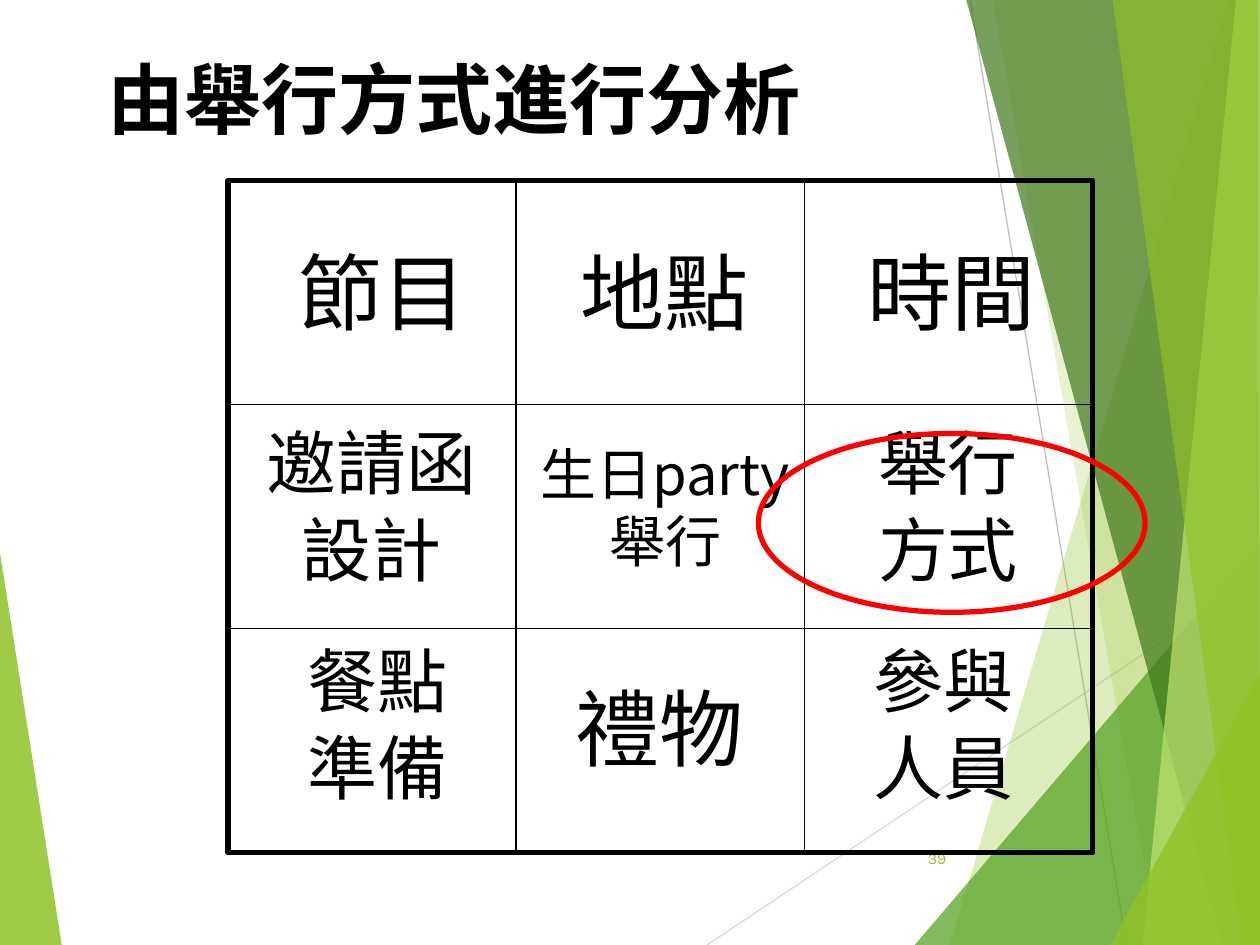
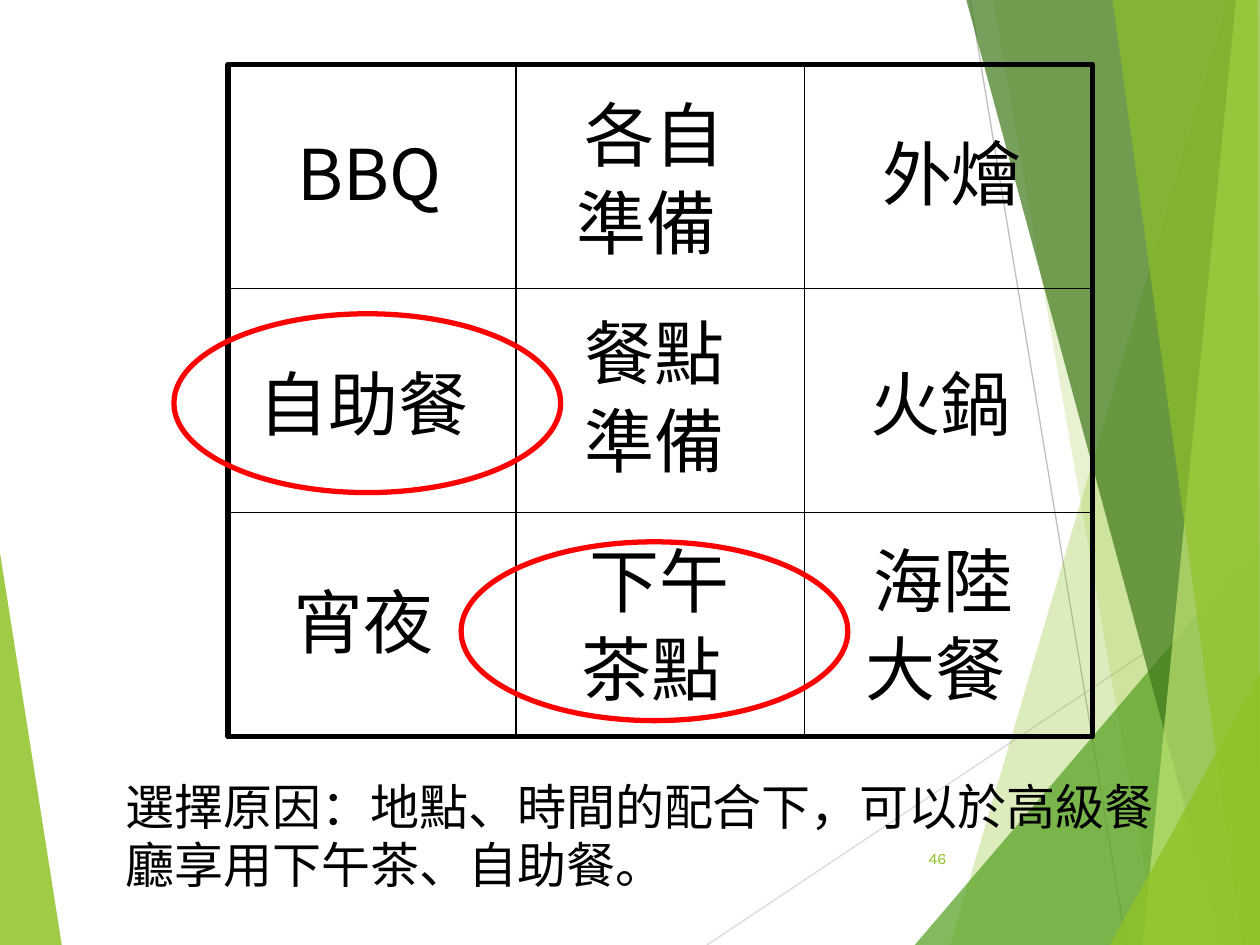
from dataclasses import dataclass

from lxml.etree import SubElement
from pptx import Presentation
from pptx.dml.color import RGBColor
from pptx.enum.shapes import MSO_CONNECTOR, MSO_SHAPE
from pptx.enum.text import MSO_ANCHOR, MSO_AUTO_SIZE as AutoSize, PP_ALIGN as Align
from pptx.oxml.ns import qn
from pptx.presentation import Presentation as Deck
from pptx.shapes.autoshape import Shape
from pptx.shapes.connector import Connector
from pptx.slide import Slide
from pptx.text.text import TextFrame
from pptx.util import Pt

# Shared colours, fonts and measures
BLACK = RGBColor(0x00, 0x00, 0x00)
RED = RGBColor(0xFF, 0x00, 0x00)
LIME = RGBColor(0x90, 0xC2, 0x26)
PALE_LIME = RGBColor(0xC0, 0xE4, 0x74)
GREEN = RGBColor(0x54, 0xA0, 0x21)
DARK_GREEN = RGBColor(0x3F, 0x78, 0x19)
LIGHT_GREY = RGBColor(0xD9, 0xD9, 0xD9)
GREY = RGBColor(0xBF, 0xBF, 0xBF)

CJK_FONT = "Noto Sans CJK SC"
TITLE_FONT = "Arial"
NUMBER_FONT = "Karla"

SLIDE_W, SLIDE_H = 720, 540
GRID_LEFT, GRID_W, GRID_H = 130.3, 493.9, 384.3
GRID_STEPS = 3
RING_W, RING_H = 221, 102.2
LINE_PITCH = 1.2


@dataclass(frozen=True)
class Facet:
    points: tuple[tuple[float, float], ...]
    color: RGBColor
    opacity: int


@dataclass(frozen=True)
class Rule:
    start: tuple[float, float]
    end: tuple[float, float]
    color: RGBColor


@dataclass(frozen=True)
class Idea:
    left: float
    top: float
    width: float
    lines: tuple[str, ...]
    size: int = 40


@dataclass(frozen=True)
class NineGrid:
    top: float
    ideas: tuple[Idea, ...]
    rings: tuple[tuple[float, float], ...]
    number: str


CORNER = (SLIDE_W, SLIDE_H)
TOP_CORNER = (SLIDE_W, 0)

LEFT_FACET = Facet(((0, 316), (35.3, 540), (0, 540)), LIME, 85)
RULES = (
    Rule((404, 540), (720, 329.3), LIGHT_GREY),
    Rule((554.4, 0), (643.7, 540), GREY),
)
RIGHT_FACETS = (
    Facet(((702, 0), (543, 540), CORNER, TOP_CORNER), LIME, 30),
    Facet(((567.4, 0), (661.7, 540), CORNER, TOP_CORNER), LIME, 20),
    Facet(((522.7, 540), (720, 309), CORNER), GREEN, 72),
    Facet(((552.2, 0), (698.4, 540), CORNER, TOP_CORNER), DARK_GREEN, 70),
    Facet(((706.3, 0), (653, 540), CORNER, TOP_CORNER), PALE_LIME, 70),
    Facet(((635.8, 0), (709.9, 540), CORNER, (718.6, 0)), LIME, 65),
    Facet(((634.3, 540), (720, 385), CORNER), LIME, 80),
)

PARTY_GRID = NineGrid(
    top=103,
    ideas=(
        Idea(473, 134, 142, ("時間",), 48),
        Idea(309, 134, 142, ("地點",), 48),
        Idea(133.2, 236, 158.4, ("邀請函", "設計")),
        Idea(150.5, 134, 136, ("節目",), 48),
        Idea(139, 360.7, 153.4, ("餐點", "準備")),
        Idea(303, 383, 147.6, ("禮物",), 48),
        Idea(462.2, 360.7, 153.4, ("參與", "人員")),
        Idea(462.2, 236, 159, ("舉行", "方式")),
        Idea(292.3, 247.7, 175.7, ("生日party舉行",), 32),
    ),
    rings=((433.4, 247.7),),
    number="39",
)
MEAL_GRID = NineGrid(
    top=36.7,
    ideas=(
        Idea(473, 71.3, 142, ("外燴",)),
        Idea(303, 49, 142, ("各自", "準備 ")),
        Idea(133.2, 202.3, 158.4, ("自助餐 ",)),
        Idea(144.7, 71.3, 142, ("BBQ ",)),
        Idea(297.4, 173.5, 153.4, ("餐點", "準備")),
        Idea(303, 303.8, 147.6, ("下午", "茶點 ")),
        Idea(462.2, 303.8, 153.4, ("海陸", "大餐 ")),
        Idea(462.2, 202.3, 159, ("火鍋 ",)),
        Idea(133.2, 326.9, 158.4, ("宵夜 ",)),
    ),
    rings=((263.5, 309.6), (99.4, 179.3)),
    number="46",
)
REASON = "選擇原因：地點、時間的配合下，可以於高級餐廳享用下午茶、自助餐。"


# Text
def write(frame: TextFrame, lines: tuple[str, ...], size: int, align: Align,
          font: str = CJK_FONT, color: RGBColor = BLACK, bold: bool = False) -> None:
    frame.word_wrap = True
    for index, line in enumerate(lines):
        paragraph = frame.add_paragraph() if index else frame.paragraphs[0]
        paragraph.alignment = align
        paragraph.line_spacing = Pt(size * LINE_PITCH)
        paragraph.space_before = Pt(size * 0.05 if index else 0)
        run = paragraph.add_run()
        run.text = line
        run.font.size = Pt(size)
        run.font.bold = bold
        run.font.color.rgb = color
        run.font.name = font
        latin = run.font._element.find(qn("a:latin"))
        east_asian = SubElement(run.font._element, qn("a:ea"), typeface=font)
        latin.addnext(east_asian)


def add_text(slide: Slide, left: float, top: float, width: float, height: float) -> TextFrame:
    frame = slide.shapes.add_textbox(Pt(left), Pt(top), Pt(width), Pt(height)).text_frame
    frame.auto_size = AutoSize.SHAPE_TO_FIT_TEXT
    return frame


def add_title(slide: Slide, text: str) -> None:
    title = slide.shapes.title
    title.left, title.top, title.width, title.height = Pt(54), Pt(26), Pt(459.4), Pt(60)
    title.text_frame.vertical_anchor = MSO_ANCHOR.TOP
    title.text_frame.auto_size = AutoSize.NONE
    write(title.text_frame, (text,), 44, Align.LEFT, TITLE_FONT, bold=True)


def add_number(slide: Slide, number: str) -> None:
    frame = add_text(slide, 507.6, 476, 40.3, 28.8)
    frame.auto_size = AutoSize.NONE
    frame.vertical_anchor = MSO_ANCHOR.MIDDLE
    write(frame, (number,), 9, Align.RIGHT, NUMBER_FONT, LIME)


# Lines and outlines
def add_line(slide: Slide, rule: Rule) -> Connector:
    ends = (Pt(value) for value in (*rule.start, *rule.end))
    line = slide.shapes.add_connector(MSO_CONNECTOR.STRAIGHT, *ends)
    line.line.color.rgb = rule.color
    line.line.width = Pt(0.75)
    SubElement(line.element.spPr, qn("a:effectLst"))
    return line


def add_outline(slide: Slide, kind: MSO_SHAPE, left: float, top: float,
                width: float, height: float, color: RGBColor) -> None:
    outline = slide.shapes.add_shape(kind, Pt(left), Pt(top), Pt(width), Pt(height))
    outline.shadow.inherit = False
    outline.fill.background()
    outline.line.color.rgb = color
    outline.line.width = Pt(3)


def add_facet(slide: Slide, facet: Facet) -> Shape:
    first, *others = [(Pt(x), Pt(y)) for x, y in facet.points]
    builder = slide.shapes.build_freeform(*first)
    builder.add_line_segments(others, close=True)
    shape = builder.convert_to_shape()
    shape.shadow.inherit = False
    shape.line.fill.background()
    shape.fill.solid()
    shape.fill.fore_color.rgb = facet.color
    color = next(shape.element.iter(qn("a:srgbClr")))
    SubElement(color, qn("a:alpha"), val=str(facet.opacity * 1000))
    return shape


# Backdrop: drawn once, then moved behind the master's placeholders
def add_backdrop(deck: Deck, slide: Slide) -> None:
    parts = [add_facet(slide, LEFT_FACET)]
    parts += [add_line(slide, rule) for rule in RULES]
    parts += [add_facet(slide, facet) for facet in RIGHT_FACETS]
    master_tree = deck.slide_master.shapes.element
    for index, part in enumerate(parts):
        next(part.element.iter(qn("p:cNvPr"))).set("id", str(100 + index))
        master_tree.insert(2 + index, part.element)


# Nine-cell idea grid with red rings
def add_grid(slide: Slide, grid: NineGrid) -> None:
    add_number(slide, grid.number)
    add_outline(slide, MSO_SHAPE.RECTANGLE, GRID_LEFT, grid.top, GRID_W, GRID_H, BLACK)
    right, bottom = GRID_LEFT + GRID_W, grid.top + GRID_H
    for step in range(1, GRID_STEPS):
        x = GRID_LEFT + GRID_W * step / GRID_STEPS
        y = grid.top + GRID_H * step / GRID_STEPS
        add_line(slide, Rule((GRID_LEFT, y), (right, y), BLACK))
        add_line(slide, Rule((x, grid.top), (x, bottom), BLACK))
    for idea in grid.ideas:
        height = idea.size * LINE_PITCH * len(idea.lines) + 7.2
        frame = add_text(slide, idea.left, idea.top, idea.width, height)
        write(frame, idea.lines, idea.size, Align.CENTER)
    for left, top in grid.rings:
        add_outline(slide, MSO_SHAPE.OVAL, left, top, RING_W, RING_H, RED)


def main() -> None:
    deck = Presentation()
    deck.slide_width, deck.slide_height = Pt(SLIDE_W), Pt(SLIDE_H)
    title_only, blank = deck.slide_layouts[5], deck.slide_layouts[6]

    # Slide 1: ways of holding the party
    party = deck.slides.add_slide(title_only)
    add_backdrop(deck, party)
    add_title(party, "由舉行方式進行分析")
    add_grid(party, PARTY_GRID)

    # Slide 2: meal choices and the reason
    meal = deck.slides.add_slide(blank)
    add_grid(meal, MEAL_GRID)
    write(add_text(meal, 64.8, 440, 612.7, 74.2), (REASON,), 28, Align.LEFT)

    deck.save("out.pptx")


if __name__ == "__main__":
    main()
